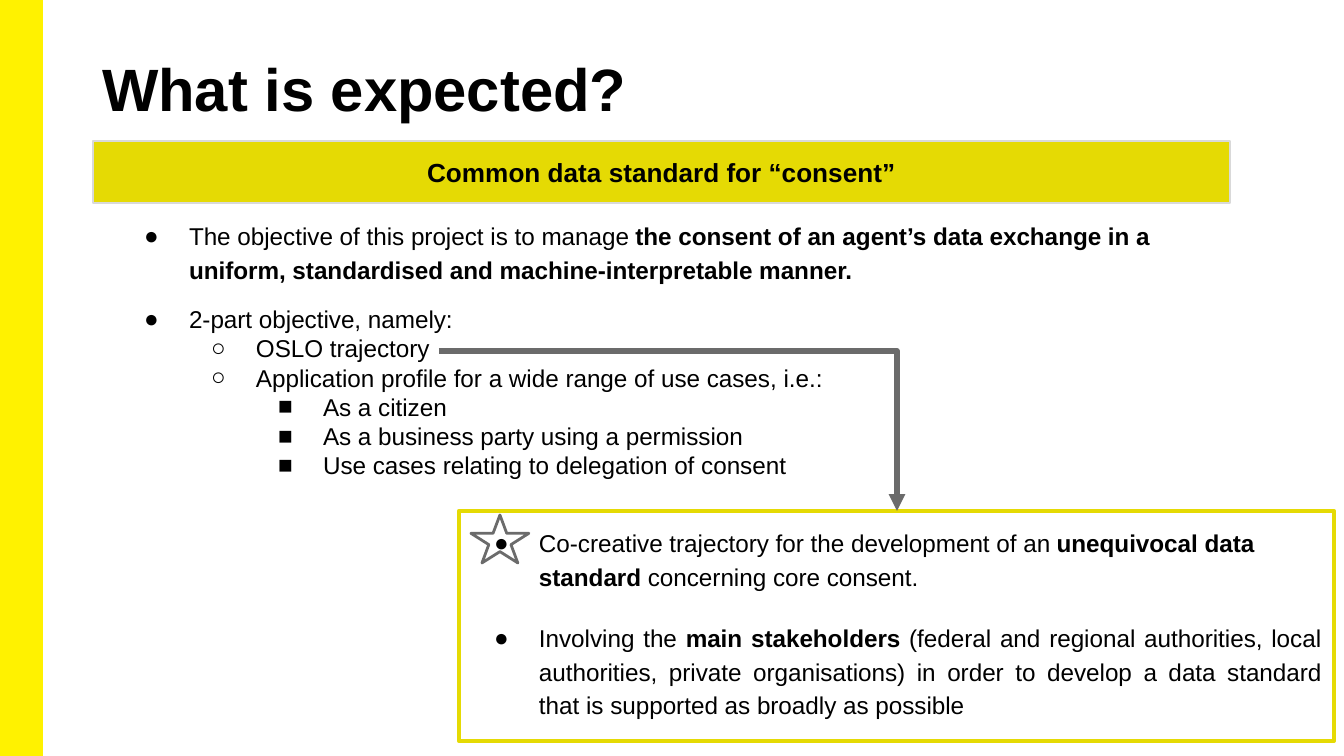
from dataclasses import dataclass

from lxml import etree
from pptx import Presentation
from pptx.dml.color import RGBColor
from pptx.enum.shapes import MSO_CONNECTOR, MSO_SHAPE
from pptx.enum.text import MSO_ANCHOR, MSO_AUTO_SIZE, PP_ALIGN
from pptx.oxml.ns import qn
from pptx.util import Emu, Pt

ELBOW = MSO_CONNECTOR.ELBOW
RECT, STAR = MSO_SHAPE.RECTANGLE, MSO_SHAPE.STAR_5_POINT
TOP, MIDDLE = MSO_ANCHOR.TOP, MSO_ANCHOR.MIDDLE
NO_FIT = MSO_AUTO_SIZE.NONE
LEFT, CENTER, JUSTIFY = PP_ALIGN.LEFT, PP_ALIGN.CENTER, PP_ALIGN.JUSTIFY

PX_PER_INCH = 134.4
TITLE_AND_CONTENT = 1
BULLETS = "●○■"
INDENT, HANG = 67, 45
PADDING = (13, 13, 13, 13)


@dataclass(frozen=True)
class Theme:
    font: str = "Arial"
    title_size: int = 32
    banner_size: int = 14
    body_size: int = 13
    text: str = "000000"
    stripe: str = "FFF200"
    accent: str = "E5DA04"
    edge: str = "D9D9D9"
    pointer: str = "6B6B6B"


THEME = Theme()

# Each item: level, line spacing, space after, alignment, (text, bold) runs
OBJECTIVES = [
    (0, 1.15, 11, LEFT, [
        ("The objective of this project is to manage ", False),
        ("the consent of an agent’s data exchange in a uniform, "
         "standardised and machine-interpretable manner.", True)]),
    (0, 1, 0, LEFT, [("2-part objective, namely:", False)]),
    (1, 1, 0, LEFT, [("OSLO trajectory", False)]),
    (1, 1, 0, LEFT, [
        ("Application profile for a wide range of use cases, i.e.:", False)]),
    (2, 1, 0, LEFT, [("As a citizen", False)]),
    (2, 1, 0, LEFT, [("As a business party using a permission", False)]),
    (2, 1, 0, LEFT, [("Use cases relating to delegation of consent", False)]),
]
TRAJECTORY = [
    (0, 1.15, 15, LEFT, [
        ("Co-creative trajectory for the development of an ", False),
        ("unequivocal data standard", True),
        (" concerning core consent.", False)]),
    (0, 1.15, 0, JUSTIFY, [
        ("Involving the ", False),
        ("main stakeholders ", True),
        ("(federal and regional authorities, local authorities, private "
         "organisations) in order to develop a data standard that is "
         "supported as broadly as possible", False)]),
]


def px(n):
    return Emu(round(n * 914400 / PX_PER_INCH))


def rgb(color):
    return RGBColor.from_string(color)


def place(s, left, top, width, height):
    s.left, s.top, s.width, s.height = map(px, (left, top, width, height))


def frame(s, anchor, insets=PADDING):
    tf = s.text_frame
    tf.word_wrap = True
    tf.auto_size = NO_FIT
    tf.vertical_anchor = anchor
    (tf.margin_left, tf.margin_top,
     tf.margin_right, tf.margin_bottom) = map(px, insets)
    return tf


def add_run(p, text, size, bold):
    r = p.add_run()
    r.text = text
    r.font.name = THEME.font
    r.font.size = Pt(size)
    r.font.bold = bold
    r.font.color.rgb = rgb(THEME.text)


def add_bullet(p, level):
    pPr = p._p.get_or_add_pPr()
    pPr.set("marL", str(px(INDENT * (level + 1))))
    pPr.set("indent", str(-px(HANG)))
    color = etree.SubElement(pPr, qn("a:buClr"))
    etree.SubElement(color, qn("a:srgbClr"), val=THEME.text)
    etree.SubElement(pPr, qn("a:buFont"), typeface=THEME.font)
    etree.SubElement(pPr, qn("a:buChar"), char=BULLETS[level])


def fill_list(tf, items):
    for i, (level, spacing, after, align, runs) in enumerate(items):
        p = tf.add_paragraph() if i else tf.paragraphs[0]
        p.level = level
        add_bullet(p, level)
        p.alignment = align
        p.line_spacing = spacing
        p.space_before = Pt(0)
        p.space_after = Pt(after)
        for text, bold in runs:
            add_run(p, text, THEME.body_size, bold)


def fill_line(tf, text, size, align):
    p = tf.paragraphs[0]
    p.alignment = align
    add_run(p, text, size, True)


def add_box(slide, kind, at, line, width, fill=None):
    s = slide.shapes.add_shape(kind, *map(px, at))
    s.shadow.inherit = False
    if fill:
        s.fill.solid()
        s.fill.fore_color.rgb = rgb(fill)
    else:
        s.fill.background()
    s.line.color.rgb = rgb(line)
    s.line.width = Pt(width)
    return s


def add_elbow_arrow(slide, start, end):
    """One-bend arrow: across from start, then down to end."""
    c = slide.shapes.add_connector(ELBOW, *map(px, start + end))
    c.line.color.rgb = rgb(THEME.pointer)
    c.line.width = Pt(3)
    spPr = c._element.spPr
    spPr.find(qn("a:prstGeom")).set("prst", "bentConnector2")
    etree.SubElement(spPr.find(qn("a:ln")), qn("a:tailEnd"), type="triangle")
    etree.SubElement(spPr, qn("a:effectLst"))


def main():
    prs = Presentation()
    prs.slide_width, prs.slide_height = px(1344), px(756)
    slide = prs.slides.add_slide(prs.slide_layouts[TITLE_AND_CONTENT])
    title, body = slide.placeholders

    add_box(slide, RECT, (0, 0, 42, 756), THEME.stripe, 1, THEME.stripe)

    place(title, 93, 40, 1158, 109)
    fill_line(frame(title, TOP, (9, 12, 9, 5)),
              "What is expected?", THEME.title_size, LEFT)

    place(body, 109, 204, 1099, 294)
    fill_list(frame(body, TOP), OBJECTIVES)

    banner = add_box(slide, RECT, (93, 141, 1137, 62),
                     THEME.edge, 0.75, THEME.accent)
    fill_line(frame(banner, MIDDLE), "Common data standard for “consent”",
              THEME.banner_size, CENTER)

    details = add_box(slide, RECT, (459, 511, 875, 230), THEME.accent, 2.25)
    fill_list(frame(details, TOP), TRAJECTORY)

    add_box(slide, STAR, (471, 515, 58, 48), THEME.pointer, 1.5)
    add_elbow_arrow(slide, (439, 351), (897, 511))

    prs.save("out.pptx")


if __name__ == "__main__":
    main()
